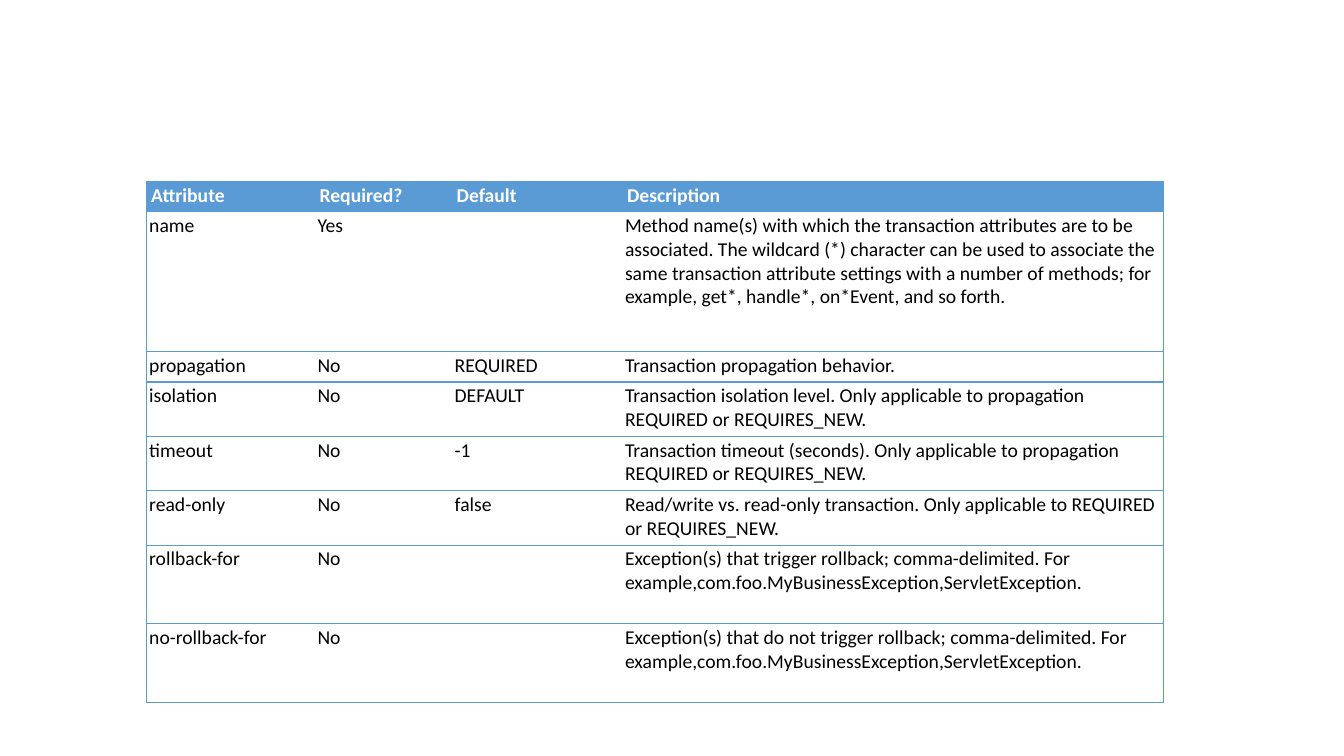
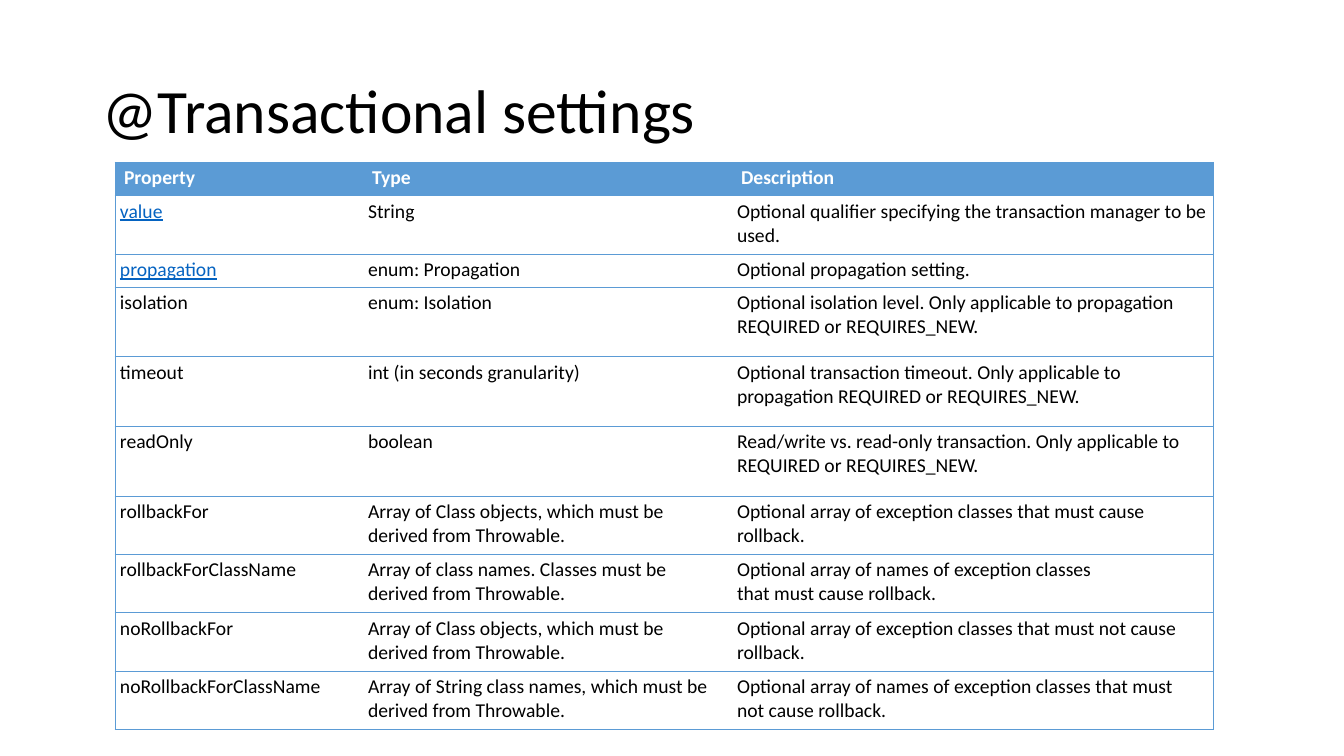
import pptx
import pptx.util
import pptx.dml.color
import pptx.enum.text
import pptx.oxml.ns
import lxml.etree

Inches = pptx.util.Inches
Pt = pptx.util.Pt
COLORS = {"accent": "5B9BD5", "paper": "FFFFFF", "ink": "000000", "link": "0563C1"}
FONT = "Calibri"


def style_text(paragraph, color, **formats):
    """Apply the shared font, a colour and any further font settings."""
    for name, value in {"name": FONT, **formats}.items():
        setattr(paragraph.font, name, value)
    paragraph.font.color.rgb = pptx.dml.color.RGBColor.from_string(COLORS[color])


def add_grid(page, place, widths, heights, rows, line, header_insets, body_insets, linked=()):
    """Add a table with a solid header, ruled rows and an outer frame."""
    table = page.shapes.add_table(len(rows), len(widths), *map(Inches, place)).table
    table.horz_banding = False
    for column, width in zip(table.columns, widths):
        column.width = Inches(width)
    for row, height in zip(table.rows, heights):
        row.height = Inches(height)

    for row_number, texts in enumerate(rows):
        header = row_number == 0
        side, edge = header_insets if header else body_insets
        for column_number, text in enumerate(texts):
            cell = table.cell(row_number, column_number)
            cell.margin_left = cell.margin_right = Inches(side)
            cell.margin_top = cell.margin_bottom = Inches(edge)

            # Borders: every horizontal rule, verticals only on the outside
            visible = {"L": column_number == 0, "R": column_number == len(widths) - 1,
                       "T": True, "B": True}
            properties = cell._tc.get_or_add_tcPr()
            for letter, shown in visible.items():
                border = lxml.etree.SubElement(
                    properties, pptx.oxml.ns.qn("a:ln" + letter), w=str(int(Pt(line))))
                kind = "a:solidFill" if shown else "a:noFill"
                paint = lxml.etree.SubElement(border, pptx.oxml.ns.qn(kind))
                if shown:
                    lxml.etree.SubElement(
                        paint, pptx.oxml.ns.qn("a:srgbClr"), val=COLORS["accent"])
            cell.fill.solid()
            cell.fill.fore_color.rgb = pptx.dml.color.RGBColor.from_string(
                COLORS["accent" if header else "paper"])

            # Text: a tilde marks a non-breaking space
            cell.text = text.replace("~", "\u00a0")
            is_link = text in linked and column_number == 0
            color = "paper" if header else "link" if is_link else "ink"
            style_text(cell.text_frame.paragraphs[0], color,
                       size=Pt(14), bold=header, underline=is_link)


deck = pptx.Presentation()
deck.slide_width = Inches(13.33)
deck.slide_height = Inches(7.5)
TITLE_ONLY, BLANK = deck.slide_layouts[5], deck.slide_layouts[6]

# Slide 1: attributes of a transaction method
ATTRIBUTES = [
    ("Attribute", "Required?", "Default", "Description"),
    ("name", "Yes", "",
     "Method name(s) with which the transaction attributes are to be associated. "
     "The wildcard (*) character can be used to associate the same transaction attribute "
     "settings with a number of methods; for example,~get*,~handle*,~on*Event, and so forth."),
    ("propagation", "No", "REQUIRED", "Transaction propagation behavior."),
    ("isolation", "No", "DEFAULT",
     "Transaction isolation level. Only applicable to propagation REQUIRED or REQUIRES_NEW."),
    ("timeout", "No", "-1",
     "Transaction timeout (seconds). Only applicable to propagation REQUIRED or REQUIRES_NEW."),
    ("read-only", "No", "false",
     "Read/write vs. read-only transaction. Only applicable to REQUIRED or REQUIRES_NEW."),
    ("rollback-for", "No", "",
     "Exception(s)~that trigger rollback; comma-delimited. "
     "For example,com.foo.MyBusinessException,ServletException."),
    ("no-rollback-for", "No", "",
     "Exception(s)~that do~not~trigger rollback; comma-delimited. "
     "For example,com.foo.MyBusinessException,ServletException."),
]
page = deck.slides.add_slide(BLANK)
add_grid(page, (1.45, 1.8, 10.09, 5.18), (1.67, 1.36, 1.69, 5.37),
         [0.3, 1.39, 0.3] + [0.54] * 3 + [0.78] * 2, ATTRIBUTES,
         line=1, header_insets=(0.05, 0.02), body_insets=(0.03, 0.02))

# Slide 2: settings of the annotation
SETTINGS = [
    ("Property", "Type", "Description"),
    ("value", "String", "Optional qualifier specifying the transaction manager to be used."),
    ("propagation", "enum:~Propagation", "Optional propagation setting."),
    ("isolation", "enum:~Isolation",
     "Optional isolation level. Only applicable to propagation REQUIRED or REQUIRES_NEW."),
    ("timeout", "int (in seconds granularity)",
     "Optional transaction timeout. Only applicable to propagation REQUIRED or REQUIRES_NEW."),
    ("readOnly", "boolean",
     "Read/write vs. read-only transaction. Only applicable to REQUIRED or REQUIRES_NEW."),
    ("rollbackFor", "Array of~Class~objects, which must be derived from~Throwable.",
     "Optional array of exception classes that~must~cause rollback."),
    ("rollbackForClassName", "Array of class names. Classes must be derived from~Throwable.",
     "Optional array of names of exception classes that~must~cause rollback."),
    ("noRollbackFor", "Array of~Class~objects, which must be derived from~Throwable.",
     "Optional array of exception classes that~must not~cause rollback."),
    ("noRollbackForClassName",
     "Array of~String~class names, which must be derived from~Throwable.",
     "Optional array of names of exception classes that~must not~cause rollback."),
]
page = deck.slides.add_slide(TITLE_ONLY)
title = page.shapes.title
for name, value in {"left": 0.92, "top": 0.4, "width": 11.5, "height": 1.45}.items():
    setattr(title, name, Inches(value))
title.text_frame.text = "@Transactional settings"
title.text_frame.vertical_anchor = pptx.enum.text.MSO_ANCHOR.MIDDLE
heading = title.text_frame.paragraphs[0]
heading.alignment = pptx.enum.text.PP_ALIGN.LEFT
heading.line_spacing = 0.9
style_text(heading, "ink", size=Pt(44))

add_grid(page, (1.14, 1.61, 10.89, 5.65), (2.46, 3.66, 4.77),
         [0.33, 0.58, 0.33] + [0.69] * 3 + [0.58] * 4, SETTINGS,
         line=0.5, header_insets=(0.09, 0.04), body_insets=(0.05, 0.04),
         linked=("value", "propagation"))

deck.save("out.pptx")
